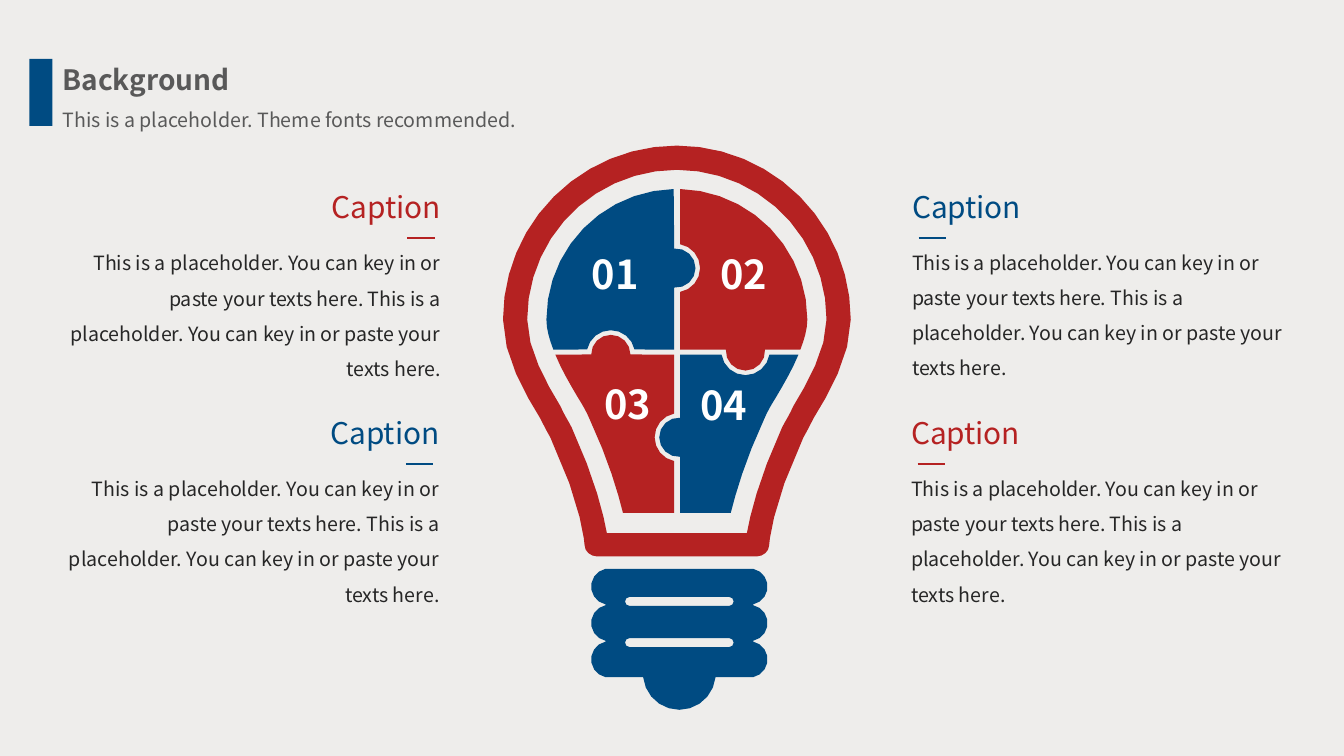
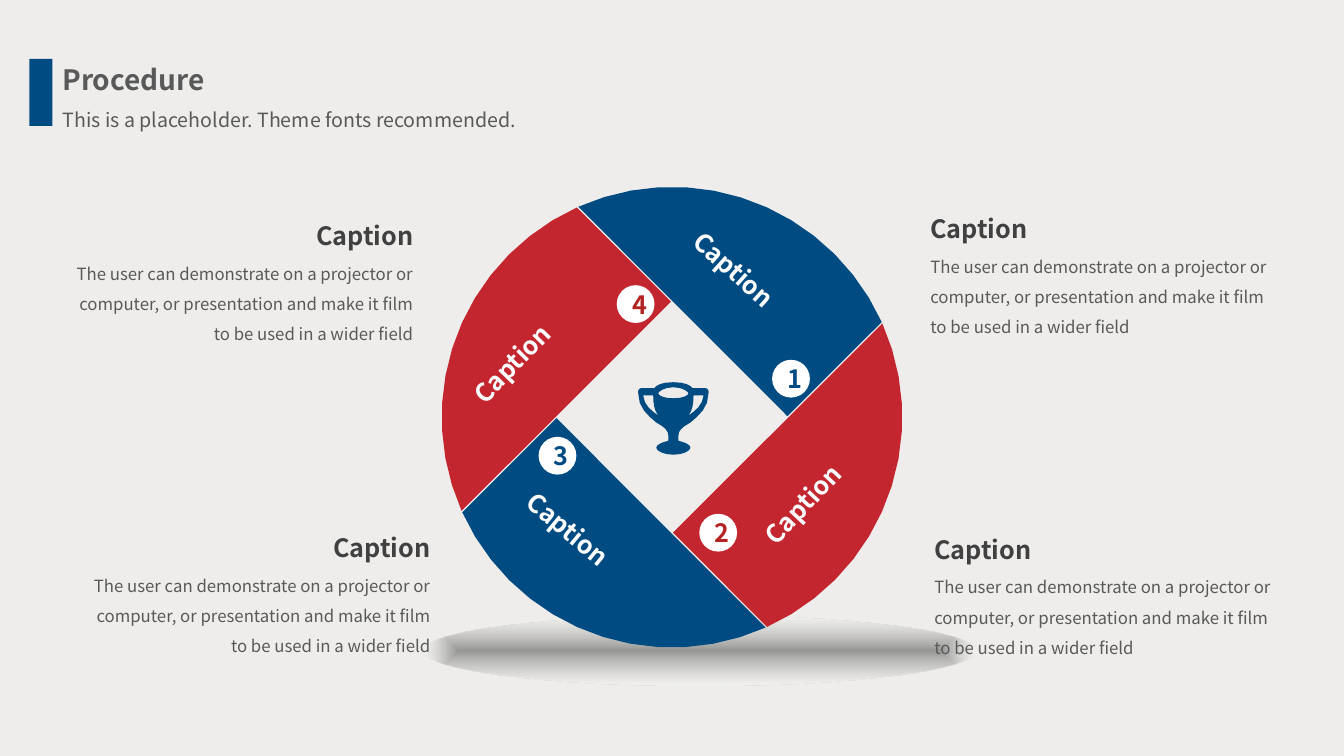
import math
from dataclasses import dataclass

from pptx import Presentation, oxml, util as u
from pptx.dml.color import RGBColor
from pptx.enum import shapes, text
from pptx.oxml import ns
from pptx.slide import Slide

Point = tuple[float, float]
Points = list[Point]

BACKGROUND = RGBColor(0xEE, 0xED, 0xEB)
BLUE = RGBColor(0x00, 0x4B, 0x82)
RED = RGBColor(0xB5, 0x22, 0x22)
BRIGHT_RED = RGBColor(0xC3, 0x26, 0x2F)
WHITE = RGBColor(0xFF, 0xFF, 0xFF)
OFF_WHITE = RGBColor(0xFD, 0xFD, 0xFD)
INK = RGBColor(0x26, 0x26, 0x26)
CHARCOAL = RGBColor(0x40, 0x40, 0x40)
GREY = RGBColor(0x59, 0x59, 0x59)

FONT = "Noto Sans CJK SC"
LEFT, CENTER, RIGHT = (text.PP_ALIGN.LEFT, text.PP_ALIGN.CENTER,
                       text.PP_ALIGN.RIGHT)
ARC_TOLERANCE = 0.3
CURVE_STEPS = 4

PLACEHOLDER = "This is a placeholder. You can key in or paste your texts here."
BULB_BODY = f"{PLACEHOLDER} {PLACEHOLDER}"
WHEEL_BODY = ("The user can demonstrate on a projector or computer, or "
              "presentation and make it film to be used in a wider field")

SHADOW_GRADIENT = f"""
<a:gradFill {ns.nsdecls("a")} rotWithShape="1">
  <a:gsLst>
    <a:gs pos="0"><a:srgbClr val="595959"><a:alpha val="58000"/></a:srgbClr></a:gs>
    <a:gs pos="100000"><a:srgbClr val="FCFCFC"><a:alpha val="33000"/></a:srgbClr></a:gs>
  </a:gsLst>
  <a:path path="shape"><a:fillToRect l="50000" t="50000" r="50000" b="50000"/></a:path>
</a:gradFill>"""


@dataclass
class Caption:
    left: float
    top: float
    width: float
    align: text.PP_ALIGN
    color: RGBColor = CHARCOAL


@dataclass
class Piece:
    number: str
    color: RGBColor
    outline: Points
    number_center: float
    number_top: float


@dataclass
class Wedge:
    number: str
    color: RGBColor
    number_color: RGBColor
    badge: Point
    label: Point
    label_rotation: float


def arc(x: float, y: float, radius: float, start: float, end: float) -> Points:
    """Points on a circle; degrees run clockwise from the right."""
    widest_step = 2 * math.degrees(math.acos(1 - ARC_TOLERANCE / radius))
    steps = math.ceil(abs(end - start) / widest_step)
    angles = [math.radians(start + (end - start) * i / steps)
              for i in range(steps + 1)]
    return [(x + radius * math.cos(a), y + radius * math.sin(a)) for a in angles]


def trace(start: Point, *segments: tuple[float, ...]) -> Points:
    """Follow segments: two numbers are a line, six a cubic curve."""
    points = [start]
    for segment in segments:
        if len(segment) == 2:
            points.append(segment)
            continue
        controls = [points[-1], segment[:2], segment[2:4], segment[4:]]
        for i in range(1, CURVE_STEPS + 1):
            t = i / CURVE_STEPS
            weights = ((1 - t) ** 3, 3 * t * (1 - t) ** 2,
                       3 * t * t * (1 - t), t ** 3)
            points.append(tuple(sum(w * c[axis] for w, c in zip(weights, controls))
                                for axis in (0, 1)))
    return points


def flipped(points: Points) -> Points:
    return [(-x, y) for x, y in reversed(points)]


def mirrored(half: Points) -> Points:
    """Close a right half with its reflection in the vertical axis."""
    return half + flipped(half)


def turned(points: Points, quarters: int) -> Points:
    for _ in range(quarters):
        points = [(-y, x) for x, y in points]
    return points


def paint(shape, color: RGBColor) -> None:
    shape.shadow.inherit = False
    shape.fill.solid()
    shape.fill.fore_color.rgb = color
    shape.line.fill.background()


def add_outline(slide: Slide, origin: Point, color: RGBColor,
                *contours: Points) -> None:
    """Draw one filled freeform; later contours inside the first are holes."""
    placed = [[(u.Pt(origin[0] + x), u.Pt(origin[1] + y)) for x, y in contour]
              for contour in contours]
    builder = slide.shapes.build_freeform(*placed[0][0], scale=1.0)
    for index, contour in enumerate(placed):
        if index:
            builder.move_to(*contour[0])
        builder.add_line_segments(contour[1:], close=True)
    paint(builder.convert_to_shape(), color)


def add_preset(slide: Slide, kind: shapes.MSO_SHAPE, left: float, top: float,
               width: float, height: float, color: RGBColor):
    shape = slide.shapes.add_shape(kind, u.Pt(left), u.Pt(top), u.Pt(width),
                                   u.Pt(height))
    paint(shape, color)
    return shape


def write(shape, words: str, size: float, color: RGBColor, bold: bool = False,
          align: text.PP_ALIGN = LEFT, spacing: float = 1.0) -> None:
    paragraph = shape.text_frame.paragraphs[0]
    paragraph.alignment = align
    paragraph.line_spacing = spacing
    run = paragraph.add_run()
    run.text = words
    for name, value in {"name": FONT, "size": u.Pt(size), "bold": bold}.items():
        setattr(run.font, name, value)
    run.font.color.rgb = color


def add_text(slide: Slide, left: float, top: float, width: float, height: float,
             words: str, size: float, color: RGBColor, **style):
    box = slide.shapes.add_textbox(u.Pt(left), u.Pt(top), u.Pt(width), u.Pt(height))
    box.text_frame.word_wrap = True
    box.text_frame.auto_size = text.MSO_AUTO_SIZE.SHAPE_TO_FIT_TEXT
    write(box, words, size, color, **style)
    return box


def add_dash(slide: Slide, left: float, top: float, color: RGBColor) -> None:
    line = slide.shapes.add_connector(shapes.MSO_CONNECTOR.STRAIGHT, u.Pt(left),
                                      u.Pt(top), u.Pt(left + 19.4), u.Pt(top))
    line.line.color.rgb = color
    line.line.width = u.Pt(1.5)
    line._element.spPr.append(oxml.parse_xml(f"<a:effectLst {ns.nsdecls('a')}/>"))


def add_slide(presentation, title: str) -> Slide:
    slide = presentation.slides.add_slide(presentation.slide_layouts[6])
    add_preset(slide, shapes.MSO_SHAPE.RECTANGLE, 21, 42, 16.5, 48, BLUE)
    add_text(slide, 37.5, 41, 354, 31.5, title, 20, GREY, bold=True)
    add_text(slide, 37.5, 65, 520, 27.5,
             "This is a placeholder. Theme fonts recommended.", 14, GREY, spacing=1.5)
    return slide


def add_bulb(slide: Slide) -> None:
    center = (483.5, 228.2)
    shell = arc(0, 0, 124.2, -90, 0) + trace(
        (124.2, 0), (124.2, 26, 108.4, 53.3, 97.6, 70.6),
        (94.7, 76.3, 92.5, 80.6, 90.4, 84.2),
        (67.3, 133.2, 65.9, 161.3, 65.9, 161.3),
        (65.9, 165.6, 61.6, 169.2, 57.2, 169.2))
    hollow = arc(0, 0, 106.9, -90, 0) + trace(
        (106.9, 0), (106.9, 21.6, 93.2, 45.4, 83.2, 61.9),
        (80.3, 68.4, 77.4, 72.7, 75.2, 77),
        (58, 114.5, 52.2, 140.4, 50, 152.6))
    add_outline(slide, center, RED, mirrored(shell), mirrored(hollow))

    upper = arc(0, 0, 93.2, -88.6, 0) + trace(
        (93.2, 0), (93.2, 7.2, 91, 14.4, 88.2, 21.6))
    lower = trace((86.8, 25.2), (82.4, 36, 76, 46.8, 70.9, 55.4),
                  (67.3, 61.2, 64.4, 66.2, 62.3, 71.3),
                  (48.6, 100.8, 42.1, 123.8, 38.5, 138.2))
    knob, socket = 14, 17.3
    top, right, bottom, left = (-0.7, -36.7), (49, 22.5), (1.4, 84.2), (-47.2, 25)
    pieces = [
        Piece("01", BLUE, flipped(upper) + arc(*top, knob, -95, 95)
              + [(-2, 21.6)] + arc(*left, socket, -12, -168), 439.6, 175),
        Piece("02", RED, upper + arc(*right, knob, -4, 184)
              + [(2.4, 21.6)] + arc(*top, socket, 80, -80), 531.4, 175),
        Piece("03", RED, flipped(lower) + arc(*left, knob, 180, 360)
              + [(-2, 25.2)] + arc(*bottom, socket, 259, 101) + [(-2, 138.2)],
              448.2, 268),
        Piece("04", BLUE, lower + [(2.4, 138.2)] + arc(*bottom, knob, 86, 274)
              + [(2.4, 25.2)] + arc(*right, socket, 171, 9), 517, 268.5),
    ]
    for piece in pieces:
        add_outline(slide, center, piece.color, piece.outline)
        add_text(slide, piece.number_center - 38, piece.number_top, 76, 42,
                 piece.number, 28.4, WHITE, bold=True, align=CENTER)

    rings = [point for y in (0, 26, 52) for point in arc(50, y, 13, -78, 78)]
    slots = [mirrored(arc(35.6, y, 3.2, -90, 90)) for y in (10.6, 40)]
    add_outline(slide, (485.3, 419), BLUE,
                mirrored(rings + arc(0, 62, 26, 6, 90)), *slots)


def build_background(presentation) -> None:
    slide = add_slide(presentation, "Background")
    add_bulb(slide)
    captions = [
        Caption(43, 131.5, 279, RIGHT, RED),
        Caption(42, 292.5, 279, RIGHT, BLUE),
        Caption(644.4, 131, 284.4, LEFT, BLUE),
        Caption(643.7, 292.5, 284.4, LEFT, RED),
    ]
    for caption in captions:
        left, top, width = caption.left, caption.top, caption.width
        add_text(slide, left, top, width, 33, "Caption", 21.3, caption.color,
                 align=caption.align)
        add_text(slide, left, top + 36, width, 104.5, BULB_BODY, 14, INK,
                 align=caption.align, spacing=1.5)
        dash_left = left + (width - 31 if caption.align == RIGHT else 11.8)
        add_dash(slide, dash_left, top + 38.7, caption.color)


def add_floor_shadow(slide: Slide) -> None:
    shadow = add_preset(slide, shapes.MSO_SHAPE.OVAL, 302.5, 439.5, 394, 50, GREY)
    properties = shadow._element.spPr
    properties.replace(properties.find(ns.qn("a:solidFill")),
                       oxml.parse_xml(SHADOW_GRADIENT))


def add_wheel(slide: Slide) -> None:
    wedges = [
        Wedge("1", BLUE, BLUE, (551.5, 257), (476.6, 193.7), 41.8),
        Wedge("2", BRIGHT_RED, RED, (499.5, 367), (524.2, 328.3), 313.4),
        Wedge("3", BLUE, BLUE, (384.7, 312), (358.6, 378.7), 39.6),
        Wedge("4", BRIGHT_RED, RED, (440.5, 203.7), (316.8, 228.2), 314.4),
    ]
    blade = arc(0, 0, 164.5, -114, -24.4) + [(82.5, -0.7)]
    for quarters, wedge in enumerate(wedges):
        add_outline(slide, (480, 298), wedge.color, turned(blade, quarters))
        badge = add_preset(slide, shapes.MSO_SHAPE.OVAL, *wedge.badge, 27, 27, WHITE)
        badge.text_frame.vertical_anchor = text.MSO_ANCHOR.MIDDLE
        write(badge, wedge.number, 18, wedge.number_color, bold=True, align=CENTER)
        label = add_text(slide, *wedge.label, 131, 29, "Caption", 18, OFF_WHITE,
                         bold=True)
        label.rotation = wedge.label_rotation


def add_trophy(slide: Slide) -> None:
    cup = trace((0, 0), (8.6, 0, 12.2, 2.2, 13.7, 4.3), (23, 4.3),
                (24.5, 4.3, 25.2, 5.8, 25.2, 7.2),
                (25.2, 18.7, 18, 23.8, 12.2, 28.8),
                (5.8, 32.4, 3.6, 34.6, 3.6, 38.2), (3.6, 41.8),
                (8.6, 43.2, 12.2, 44.6, 12.2, 46.8),
                (12.2, 49, 7.2, 51.8, 0, 51.8))
    rim = trace((0, 3.6), (7.2, 3.6, 10.8, 7.2, 10.8, 7.9),
                (10.8, 9.4, 7.2, 11.5, 0, 11.5))
    handle = trace((10.8, 23.8), (13.7, 20.2, 14.4, 15.1, 14.4, 9.4), (21.6, 9.4),
                   (20.9, 16.6, 15.8, 20.2, 10.8, 23.8))
    add_outline(slide, (481, 273), BLUE, mirrored(cup), mirrored(rim), handle,
                flipped(handle))


def build_procedure(presentation) -> None:
    slide = add_slide(presentation, "Procedure")
    add_floor_shadow(slide)
    captions = [
        Caption(46, 154, 256.3, RIGHT),
        Caption(58.3, 376.7, 256.3, RIGHT),
        Caption(660.3, 378, 256.3, LEFT),
        Caption(657.5, 149, 256.3, LEFT),
    ]
    for caption in captions:
        add_text(slide, caption.left, caption.top, caption.width, 29, "Caption", 18,
                 caption.color, bold=True, align=caption.align)
        add_text(slide, caption.left, caption.top + 23.5, caption.width, 70.5,
                 WHEEL_BODY, 12, GREY, align=caption.align, spacing=1.5)
    add_wheel(slide)
    add_trophy(slide)


def main() -> None:
    presentation = Presentation()
    presentation.slide_width, presentation.slide_height = u.Pt(960), u.Pt(540)
    background = presentation.slide_master.background.fill
    background.solid()
    background.fore_color.rgb = BACKGROUND
    build_background(presentation)
    build_procedure(presentation)
    presentation.save("out.pptx")


if __name__ == "__main__":
    main()
